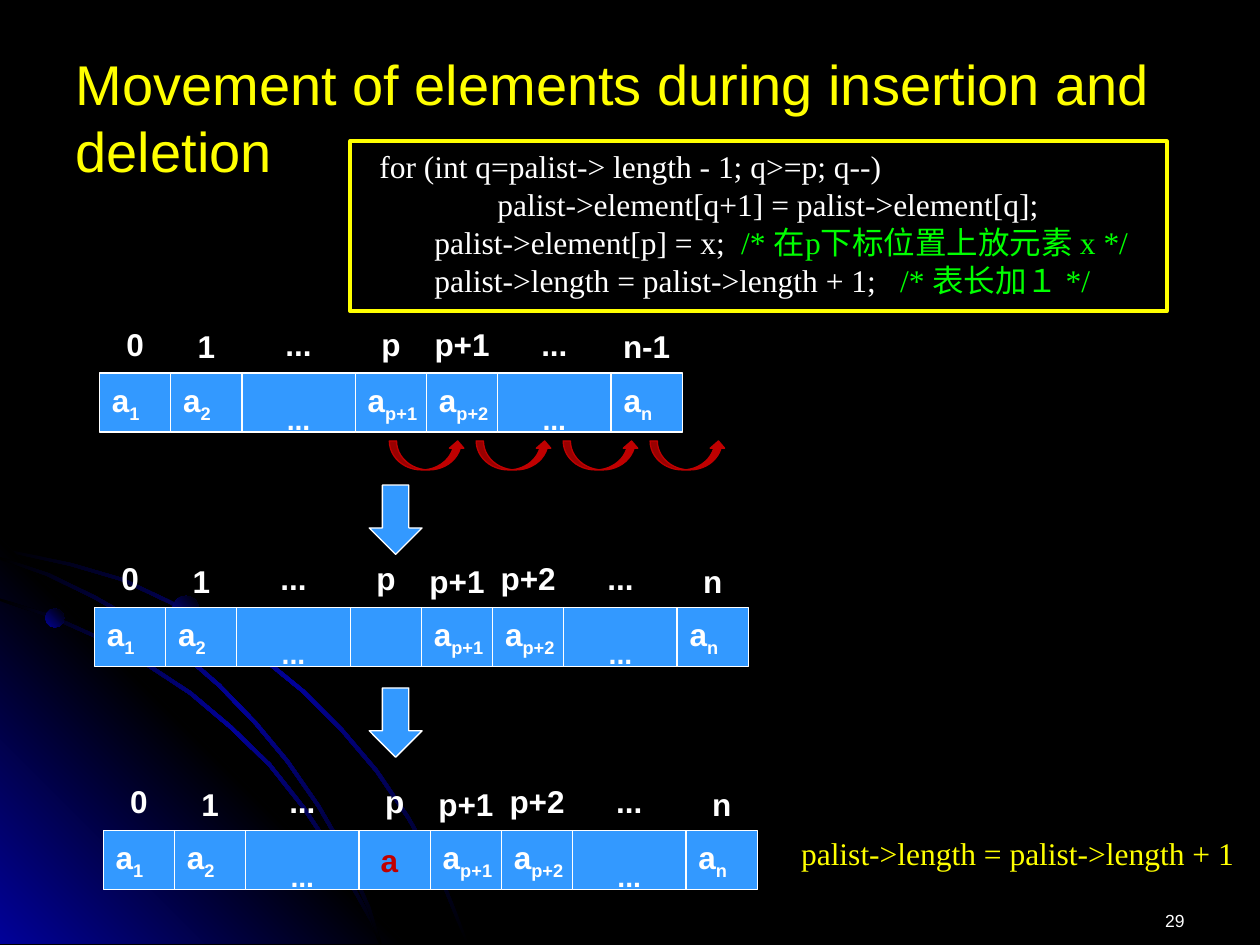
from pptx import Presentation
from pptx.dml.color import RGBColor
from pptx.enum.shapes import MSO_SHAPE
from pptx.enum.text import MSO_ANCHOR, PP_ALIGN
from pptx.oxml import parse_xml
from pptx.oxml.ns import nsdecls
from pptx.util import Inches, Pt

RECT, OVAL = MSO_SHAPE.RECTANGLE, MSO_SHAPE.OVAL
DOWN, CURVE = MSO_SHAPE.DOWN_ARROW, MSO_SHAPE.CURVED_UP_ARROW
LEFT, MID, RIGHT, JUST = PP_ALIGN.LEFT, PP_ALIGN.CENTER, PP_ALIGN.RIGHT, PP_ALIGN.JUSTIFY
MIDDLE, TOP = MSO_ANCHOR.MIDDLE, MSO_ANCHOR.TOP

BLACK, NAVY, BLUE, WHITE = "000000", "010199", "3399FF", "FFFFFF"
YELLOW, GREEN, RED = "FFFF00", "00FF00", "C00000"
SANS, SERIF = "Arial", "Times New Roman"
NARROW, WIDE, TALL = Inches(1.13) // 2, Inches(0.9), Inches(0.47)
LIFT, LOW = Inches(0.43), Inches(0.41)

# Upper edges of the curved streaks, in inches
OUTER = [(0, 4.35), (0.57, 4.47), (0.98, 4.59), (1.36, 4.77), (1.74, 4.97),
         (2.09, 5.21), (2.42, 5.48), (2.72, 5.78), (3, 6.11), (3.25, 6.48),
         (3.39, 6.73), (3.52, 6.98), (3.62, 7.23), (3.72, 7.49)]
INNER = [(0, 4.75), (0.41, 4.88), (0.79, 5.05), (1.17, 5.26), (1.52, 5.49),
         (1.84, 5.76), (2.15, 6.06), (2.42, 6.4), (2.66, 6.76), (2.86, 7.12),
         (2.96, 7.3), (3.03, 7.49)]
CENTRE = [(0, 4.42), (0.39, 4.55), (0.76, 4.73), (1.11, 4.93), (1.44, 5.16),
          (1.75, 5.43), (2.04, 5.73), (2.29, 6.03), (2.54, 6.39), (2.69, 6.65),
          (2.82, 6.93), (2.94, 7.2), (3.03, 7.49)]

# Left, top, then (index, cell) pairs; a cell's tail is its subscript
ROWS = [
    (0.79, 2.96, [("0", "a1"), ("1", "a2"), ("...", "..."), ("p", "ap+1"),
                  ("p+1", "ap+2"), ("...", "..."), ("n-1", "an")]),
    (0.75, 4.82, [("0", "a1"), ("1", "a2"), ("...", "..."), ("p", ""),
                  ("p+1", "ap+1"), ("p+2", "ap+2"), ("...", "..."), ("n", "an")]),
    (0.82, 6.59, [("0", "a1"), ("1", "a2"), ("...", "..."), ("p", "a"),
                  ("p+1", "ap+1"), ("p+2", "ap+2"), ("...", "..."), ("n", "an")]),
]

CODE = [
    [(" for (int q=palist-> length - 1; q>=p; q--) ", WHITE)],
    [("                palist->element[q+1] = palist->element[q];", WHITE)],
    [("        palist->element[p] = x;  ", WHITE), ("/* 在p下标位置上放元素 x */", GREEN)],
    [("        palist->length = palist->length + 1;   ", WHITE), ("/* 表长加１ */", GREEN)],
]


def tint(code):
    return RGBColor.from_string(code)


class Deck:
    def __init__(self):
        self.prs = Presentation()
        self.prs.slide_width, self.prs.slide_height = Inches(10), Inches(7.5)
        self.slide = self.prs.slides.add_slide(self.prs.slide_layouts[5])
        self.shapes = self.slide.shapes
        fill = self.slide.background.fill
        fill.solid()
        fill.fore_color.rgb = tint(BLACK)

    def style(self, para, size, color, face=SANS, bold=False, align=LEFT):
        para.alignment = align
        font = para.font
        font.size, font.name, font.bold = Pt(size), face, bold
        font.color.rgb = tint(color)

    def title(self, text, x, y, w, h):
        box = self.shapes.title
        box.left, box.top, box.width, box.height = map(Inches, (x, y, w, h))
        box.text_frame.text = text
        box.text_frame.vertical_anchor = MIDDLE
        self.style(box.text_frame.paragraphs[0], 32, YELLOW)

    def shape(self, kind, x, y, w, h, fill=None, line=None, width=0.75):
        item = self.shapes.add_shape(kind, x, y, w, h)
        item.shadow.inherit = False
        if fill:
            item.fill.solid()
            item.fill.fore_color.rgb = tint(fill)
        else:
            item.fill.background()
        if line:
            item.line.color.rgb = tint(line)
            item.line.width = Pt(width)
        else:
            item.line.fill.background()
        return item

    def fade(self, item, colors, angle):
        """Fill with evenly spaced gradient stops and no outline."""
        last = len(colors) - 1
        stops = "".join(
            f'<a:gs pos="{100000 * i // last}"><a:srgbClr val="{c}"/></a:gs>'
            for i, c in enumerate(colors))
        grad = parse_xml(
            f'<a:gradFill {nsdecls("a")} rotWithShape="1"><a:gsLst>{stops}</a:gsLst>'
            f'<a:lin ang="{angle * 60000}" scaled="1"/></a:gradFill>')
        props = item._element.spPr
        for old in props.xpath("a:noFill"):
            props.remove(old)
        props.xpath("a:custGeom | a:prstGeom")[0].addnext(grad)
        item.line.fill.background()

    def outline(self, points, colors, angle):
        (x, y), *rest = [(Inches(a), Inches(b)) for a, b in points]
        pen = self.shapes.build_freeform(x, y)
        pen.add_line_segments(rest, close=True)
        item = pen.convert_to_shape()
        item.shadow.inherit = False
        self.fade(item, colors, angle)

    def streak(self, edge):
        lower = [(max(x - 0.02, 0), min(y + 0.02, 7.49)) for x, y in reversed(edge)]
        self.outline(edge + lower, [BLACK, NAVY, BLACK], 45)

    def dot(self, x, y, size):
        item = self.shape(OVAL, Inches(x), Inches(y), Inches(size), Inches(size))
        self.fade(item, [NAVY, BLACK], 315)

    def text(self, x, y, w, h, lines, size, **look):
        """Add a text box; each line is a list of (text, colour) runs."""
        box = self.shapes.add_textbox(x, y, w, h)
        frame = box.text_frame
        frame.word_wrap = True
        for i, runs in enumerate(lines):
            para = frame.add_paragraph() if i else frame.paragraphs[0]
            self.style(para, size, runs[0][1], **look)
            for words, color in runs:
                run = para.add_run()
                run.text = words
                if color != runs[0][1]:
                    run.font.color.rgb = tint(color)
        return frame

    def cell(self, x, y, w, text):
        frame = self.shape(RECT, x, y, w, TALL, BLUE, WHITE).text_frame
        frame.word_wrap = False
        frame.vertical_anchor = MIDDLE
        if not text:
            return
        gap, alone = text == "...", text == "a"
        para = frame.paragraphs[0]
        self.style(para, 28 if gap else 18, RED if alone else WHITE,
                   bold=True, align=MID if gap else LEFT)
        if alone:
            frame.margin_left = Inches(0.17)
        head, sub = ("", text) if gap else (text[0], text[1:])
        if head:
            para.add_run().text = head
        if sub:
            run = para.add_run()
            run.text = sub
            run._r.get_or_add_rPr().set("baseline", "-25000")

    def row(self, x, y, pairs):
        """Draw one array with its indices above the cells."""
        for i, (label, text) in enumerate(pairs):
            w = WIDE if text == "..." else NARROW
            self.cell(x, y, w, text)
            span = {"p+1": Inches(0.65), "p+2": Inches(0.65), "n-1": Inches(0.79)}.get(label, w)
            low = label in ("1", "n", "n-1") or (label == "p+1" and len(pairs) == 8)
            self.text(x + (w - span) // 2, y - (LOW if low else LIFT), span, Inches(0.4),
                      [[(label, WHITE)]], 18, bold=True, align=MID)
            x += w


def main():
    deck = Deck()
    deck.streak(OUTER)
    deck.outline([(3.22, 7.49), (0, 7.49), (0, 4.27)], [NAVY, BLACK, NAVY], 315)
    deck.streak(INNER)
    deck.streak(CENTRE)
    deck.dot(0.36, 4.83, 0.15)
    deck.dot(1.37, 4.73, 0.21)

    deck.title("Movement of elements during insertion and deletion", 0.5, 0.3, 9, 1.25)
    for x, y, pairs in ROWS:
        deck.row(Inches(x), Inches(y), pairs)
    for i in range(4):
        deck.shape(CURVE, Inches(3.09 + 0.69 * i), Inches(3.5), Inches(0.6), Inches(0.23), RED, RED)
    for y in (3.85, 5.46):
        deck.shape(DOWN, Inches(2.93), Inches(y), Inches(0.42), Inches(0.55), BLUE, WHITE)

    deck.text(Inches(2.85), Inches(1.12), Inches(6.48), Inches(1.31), CODE, 18,
              face=SERIF, align=JUST)
    deck.shape(RECT, Inches(2.78), Inches(1.12), Inches(6.48), Inches(1.35),
               line=YELLOW, width=2.25)
    deck.text(Inches(6.26), Inches(6.57), Inches(3.7), Inches(0.4),
              [[("palist->length = palist->length + 1", YELLOW)]], 18, face=SERIF)
    page = deck.text(Inches(7.17), Inches(7.01), Inches(2.33), Inches(0.5),
                     [[("29", WHITE)]], 10, align=RIGHT)
    page.vertical_anchor = TOP
    page.margin_top = Inches(0.21)
    deck.prs.save("out.pptx")


if __name__ == "__main__":
    main()
